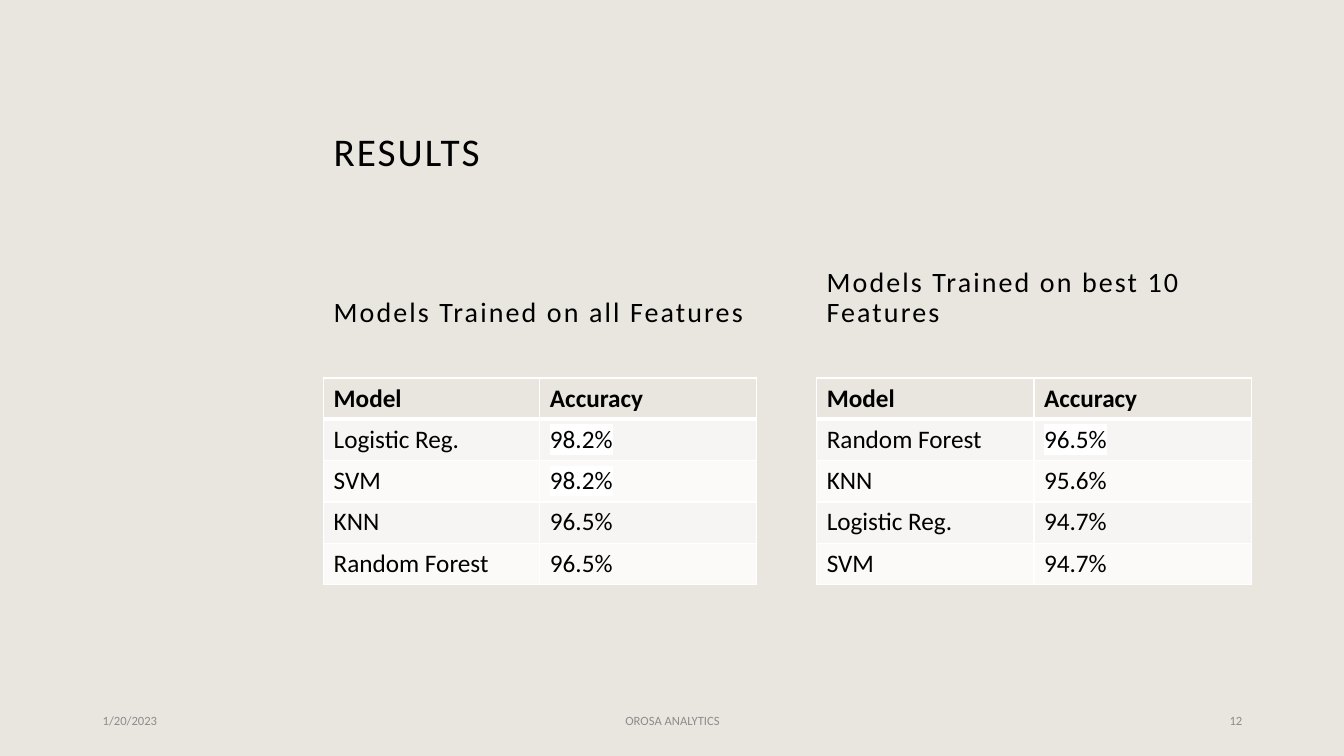
from dataclasses import dataclass

from lxml import etree
from pptx import Presentation
from pptx import util as u
from pptx.dml.color import RGBColor
from pptx.enum import text
from pptx.oxml import ns

ALIGN = text.PP_ALIGN
ANCHOR = text.MSO_ANCHOR


@dataclass(frozen=True)
class Theme:
    font: str = "Calibri"
    ground: str = "E9E6DF"
    ink: str = "000000"
    muted: str = "8C8C8C"
    white: str = "FFFFFF"
    bands: tuple = ("F7F5F3", "FBFAF9")
    title: int = 28
    heading: int = 20
    cell: int = 18
    footer: int = 9
    spacing: float = 1.5
    rule: int = 1
    header_rule: int = 3


class Deck:
    def __init__(self, theme):
        self.theme = theme
        self.prs = Presentation()
        self.prs.slide_width = u.Inches(13.33)
        self.prs.slide_height = u.Inches(7.5)
        self.s = self.prs.slides.add_slide(self.prs.slide_layouts[6])
        self.paint(self.s.background.fill, theme.ground)

    def paint(self, fill, color):
        fill.solid()
        fill.fore_color.rgb = RGBColor.from_string(color)

    def color_node(self, parent, tag):
        node = etree.SubElement(parent, ns.qn(tag))
        etree.SubElement(node, ns.qn("a:srgbClr"), val=self.theme.white)
        return node

    def run(self, p, words, size, color, bold=False, spacing=0, highlight=False):
        r = p.add_run()
        r.text = words
        r.font.size = u.Pt(size)
        r.font.bold = bold
        self.paint(r.font.fill, color)
        r.font.name = self.theme.font
        props = r.font._element
        if spacing:
            props.set("spc", str(int(spacing * 100)))
        if highlight:
            mark = self.color_node(props, "a:highlight")
            props.find(ns.qn("a:solidFill")).addnext(mark)

    def box(self, place, words, size, color, anchor=ANCHOR.MIDDLE,
            align=ALIGN.LEFT, spacing=0, line=1.0, before=0):
        tf = self.s.shapes.add_textbox(*map(u.Inches, place)).text_frame
        tf.word_wrap = True
        tf.vertical_anchor = anchor
        p = tf.paragraphs[0]
        p.alignment = align
        p.line_spacing = line
        p.space_before = u.Pt(before)
        self.run(p, words, size, color, spacing=spacing)

    def title(self, place, words):
        t = self.theme
        self.box(place, words, t.title, t.ink, spacing=t.spacing, line=0.9)

    def heading(self, place, words):
        t = self.theme
        self.box(place, words, t.heading, t.ink, ANCHOR.BOTTOM,
                 spacing=t.spacing, line=0.9, before=10)

    def footer(self, left, width, words, align):
        t = self.theme
        self.box((left, 6.95, width, 0.4), words, t.footer, t.muted, align=align)

    def borders(self, cell, top, bottom):
        props = cell._tc.get_or_add_tcPr()
        rule = self.theme.rule
        widths = {"a:lnL": rule, "a:lnR": rule, "a:lnT": top, "a:lnB": bottom}
        for i, (tag, width) in enumerate(widths.items()):
            ln = etree.Element(ns.qn(tag), w=str(u.Pt(width)))
            self.color_node(ln, "a:solidFill")
            props.insert(i, ln)

    def table(self, left, top, width, row_height, rows, best):
        t = self.theme
        frame = self.s.shapes.add_table(
            len(rows), len(rows[0]), u.Inches(left), u.Inches(top),
            u.Inches(width), u.Inches(row_height * len(rows)))
        for i, row in enumerate(rows):
            header = i == 0
            for j, words in enumerate(row):
                cell = frame.table.cell(i, j)
                self.paint(cell.fill, t.ground if header else t.bands[(i - 1) % 2])
                self.borders(cell, t.header_rule if i == 1 else t.rule,
                             t.header_rule if header else t.rule)
                self.run(cell.text_frame.paragraphs[0], words, t.cell, t.ink,
                         bold=header, highlight=j == 1 and words == best)


def main():
    deck = Deck(Theme())
    deck.title((3.21, 0.98, 9.21, 1.1), "RESULTS")

    header = ("Model", "Accuracy")
    results = (
        (3.21, 4.29, "Models Trained on all Features",
         (("Logistic Reg.", "98.2%"), ("SVM", "98.2%"),
          ("KNN", "96.5%"), ("Random Forest", "96.5%"))),
        (8.1, 4.31, "Models Trained on best 10 Features",
         (("Random Forest", "96.5%"), ("KNN", "95.6%"),
          ("Logistic Reg.", "94.7%"), ("SVM", "94.7%"))),
    )
    for left, width, heading, scores in results:
        deck.heading((left, 2.41, width, 0.9), heading)
        deck.table(left, 3.75, width, 0.41, (header, *scores), best=scores[0][1])

    deck.footer(0.92, 3, "1/20/2023", ALIGN.LEFT)
    deck.footer(4.42, 4.5, "OROSA ANALYTICS", ALIGN.CENTER)
    deck.footer(9.42, 3, "12", ALIGN.RIGHT)
    deck.prs.save("out.pptx")


if __name__ == "__main__":
    main()
